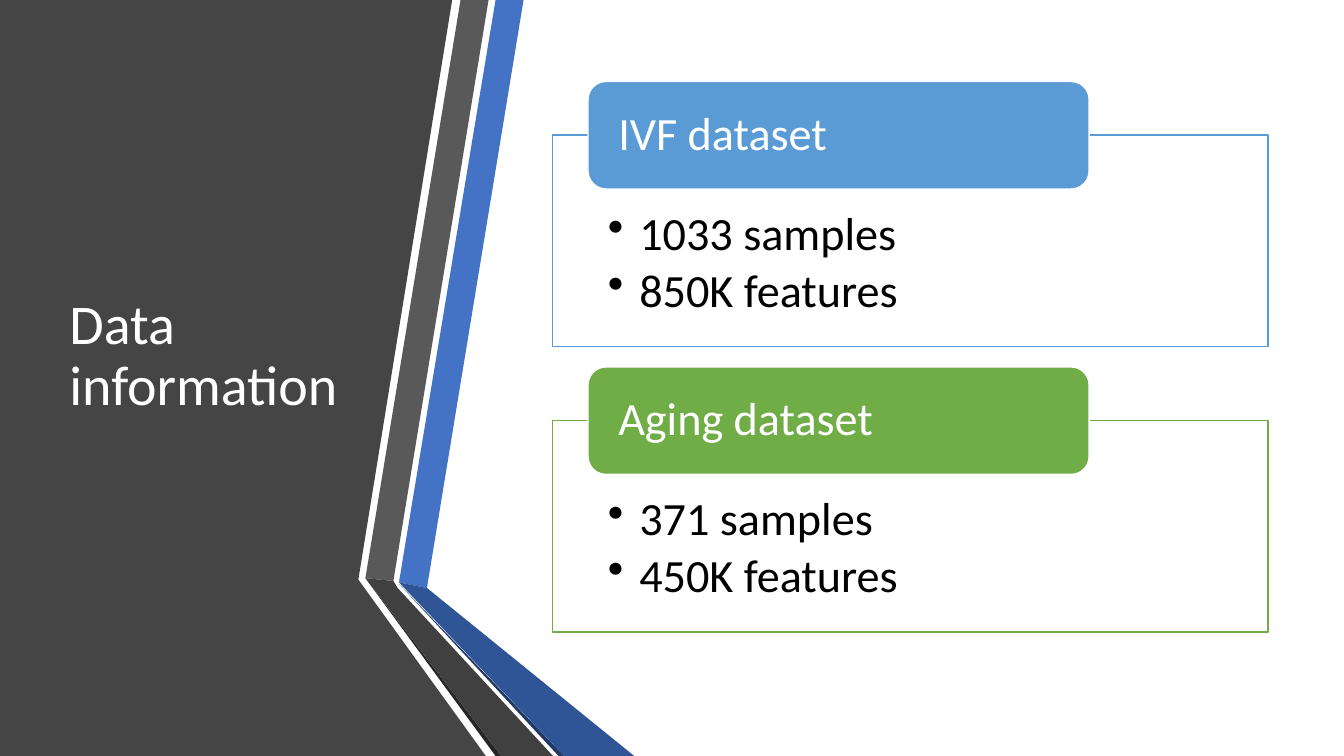
from pptx import Presentation
from pptx.dml.color import RGBColor
from pptx.enum.shapes import MSO_SHAPE as Shape
from pptx.enum.text import MSO_ANCHOR as Anchor, PP_ALIGN as Align
from pptx.util import Pt
from lxml import etree


def color(hex_value):
    return RGBColor.from_string(hex_value)


def write(holder, lines, size, ink, anchor, margins, space=0):
    frame = holder.text_frame
    layout = dict(word_wrap=True, vertical_anchor=anchor)
    sides = ("margin_left", "margin_top", "margin_right", "margin_bottom")
    layout.update(zip(sides, map(Pt, margins)))
    for key, value in layout.items():
        setattr(frame, key, value)
    frame.text = "\n".join(lines)
    for paragraph in frame.paragraphs:
        spacing = dict(alignment=Align.LEFT, line_spacing=0.9, space_after=Pt(space))
        for key, value in spacing.items():
            setattr(paragraph, key, value)
        font = paragraph.runs[0].font
        for key, value in dict(name="Calibri", size=Pt(size)).items():
            setattr(font, key, value)
        font.color.rgb = color(ink)
    return frame


deck = Presentation()
deck.slide_width, deck.slide_height = Pt(960), Pt(540)
slide = deck.slides.add_slide(deck.slide_layouts[6])
shapes = slide.shapes

bands = [
    ("454545", [(0, 0), (323.3, 0), (256.3, 414.4), (347, 540), (0, 540)]),
    ("4472C4", [(285.1, 416.2), (304.6, 419.8), (373.7, 0), (353.5, 0)]),
    ("595959", [(349.2, 0), (329, 0), (261.4, 412.6), (280.8, 415.4)]),
    ("262626", [(261.4, 412.6), (353.5, 540), (357.8, 540)]),
    ("203864", [(285.1, 416.9), (398.9, 540), (403.2, 540)]),
    ("2F5597", [(285.1, 416.2), (403.2, 540), (452.9, 540), (304.6, 419.8)]),
    ("404040", [(394.6, 540), (284.4, 419.8), (280.8, 415.4), (261.4, 412.6), (357.8, 540)]),
]
for fill, points in bands:
    outline = shapes.build_freeform(*points[0], scale=Pt(1))
    outline.add_line_segments(points[1:], close=True)
    band = outline.convert_to_shape()
    band.shadow.inherit = False
    band.fill.solid()
    band.fill.fore_color.rgb = color(fill)
    band.line.fill.background()

title = shapes.add_textbox(Pt(42.5), Pt(54), Pt(219), Pt(402))
write(title, ["Data information"], 40, "FFFFFF", Anchor.MIDDLE, (7.2, 3.6, 7.2, 3.6))

datasets = [
    ("IVF dataset", ["1033 samples", "850K features"], "5B9BD5"),
    ("Aging dataset", ["371 samples", "450K features"], "70AD47"),
]
for index, (heading, facts, accent) in enumerate(datasets):
    top = 96.4 + index * 203.9
    card = shapes.add_shape(Shape.RECTANGLE, Pt(394.6), Pt(top), Pt(511.2), Pt(151.2))
    label = shapes.add_shape(Shape.ROUNDED_RECTANGLE, Pt(420), Pt(top - 38.2), Pt(358), Pt(76.8))
    for part, fill, line in [(card, "FFFFFF", accent), (label, accent, "FFFFFF")]:
        part.shadow.inherit = False
        part.fill.solid()
        part.fill.fore_color.rgb = color(fill)
        part.line.color.rgb = color(line)
        part.line.width = Pt(1)
    body = write(card, facts, 33, "000000", Anchor.TOP, (39.6, 54, 39.6, 18.7), 5)
    for paragraph in body.paragraphs:
        properties = paragraph._p.get_or_add_pPr()
        properties.set("marL", str(Pt(22.5)))
        properties.set("indent", str(Pt(-22.5)))
        namespace = properties.nsmap["a"]
        etree.SubElement(properties, f"{{{namespace}}}buChar", char="•")
    write(label, [heading], 33, "FFFFFF", Anchor.MIDDLE, (17.9, 0, 17.9, 0))

deck.save("out.pptx")
